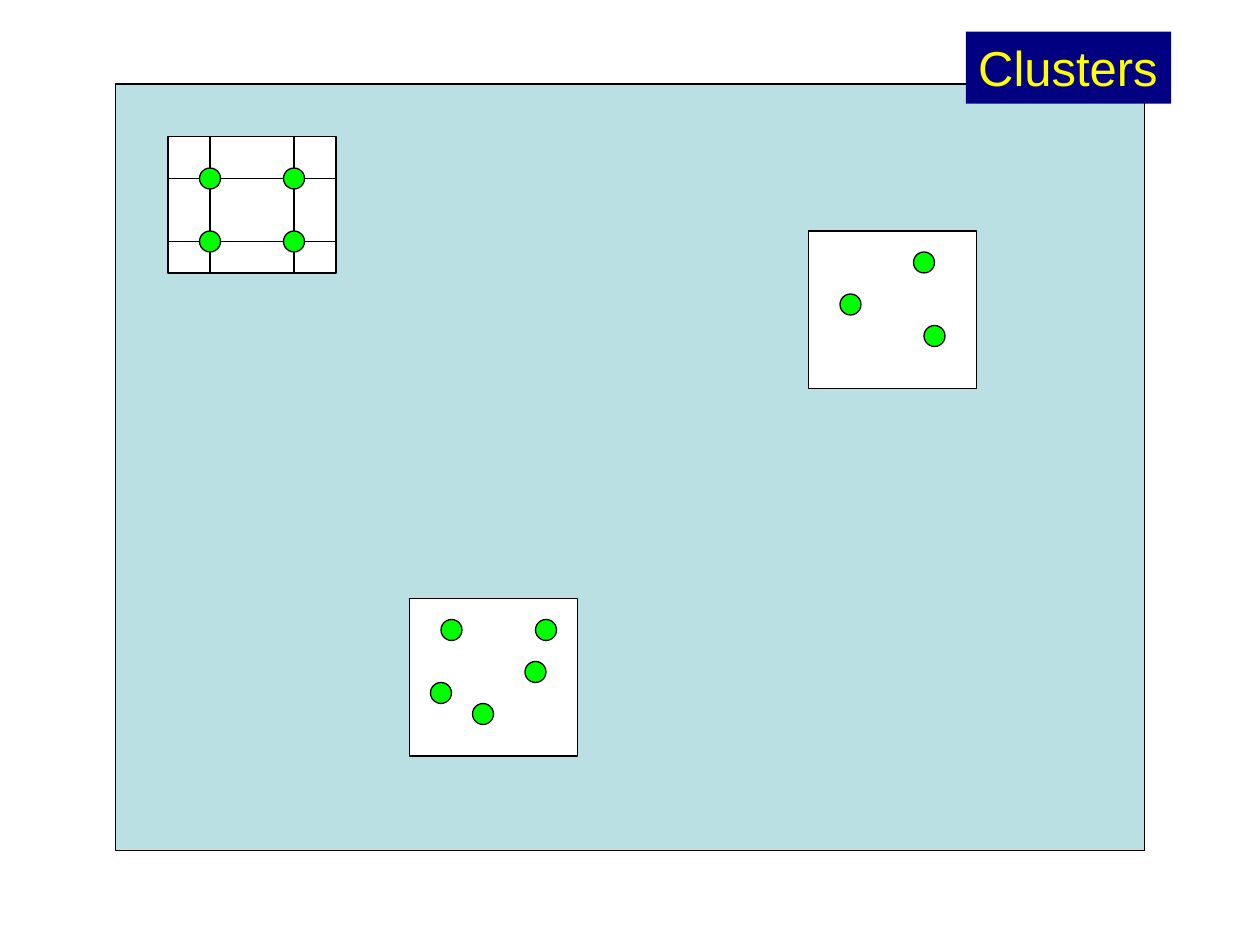
from lxml import etree
from pptx import Presentation
from pptx.dml.color import RGBColor
from pptx.enum.shapes import MSO_CONNECTOR as Wire, MSO_SHAPE as Kind
from pptx.enum.text import MSO_AUTO_SIZE as Fit
from pptx.oxml.ns import qn
from pptx.util import Cm, Pt

STEP = 2.54 / 12


def tint(text):
    return RGBColor.from_string(text)


def draw(home, kind, left, top, width, height, fill):
    shape = home.add_shape(kind, *[Cm(n * STEP) for n in (left, top, width, height)])
    shape.shadow.inherit = False
    shape.fill.solid()
    shape.fill.fore_color.rgb = tint(fill)
    shape.line.color.rgb = tint("000000")
    shape.line.width = Pt(0.75)
    return shape


deck = Presentation()
deck.slide_width = Cm(25.4)
deck.slide_height = Cm(19.05)
slide = deck.slides.add_slide(deck.slide_layouts[6])

draw(slide.shapes, Kind.RECTANGLE, 11, 8, 98, 73, "BBE0E3")

label = slide.shapes.add_textbox(Cm(19.47), Cm(0.64), Cm(4.14), Cm(1.45))
label.fill.solid()
label.fill.fore_color.rgb = tint("000080")
frame = label.text_frame
frame.word_wrap = False
frame.auto_size = Fit.SHAPE_TO_FIT_TEXT
frame.text = "Clusters"
font = frame.paragraphs[0].runs[0].font
font.name = "Arial"
font.size = Pt(28)
font.color.rgb = tint("FFFF00")

groups = [
    ((39, 57, 16, 15), [], [], [(42, 59), (41, 65), (51, 59), (50, 63), (45, 67)]),
    ((77, 22, 16, 15), [], [], [(87, 24), (88, 31), (80, 28)]),
    ((16, 13, 16, 13), [23, 17], [28, 20], [(x, y) for x in (27, 19) for y in (22, 16)]),
]

for box, rows, cols, dots in groups:
    group = slide.shapes.add_group_shape().shapes
    draw(group, Kind.RECTANGLE, *box, "FFFFFF")
    left, top, width, height = box
    lines = [(left, y, left + width, y) for y in rows]
    lines += [(x, top, x, top + height) for x in cols]
    for ends in lines:
        line = group.add_connector(Wire.STRAIGHT, *[Cm(n * STEP) for n in ends])
        line.line.color.rgb = tint("000000")
        line.line.width = Pt(0.75)
        etree.SubElement(line._element.spPr, qn("a:effectLst"))
    for x, y in dots:
        draw(group, Kind.OVAL, x, y, 2, 2, "00FF00")

deck.save("out.pptx")
